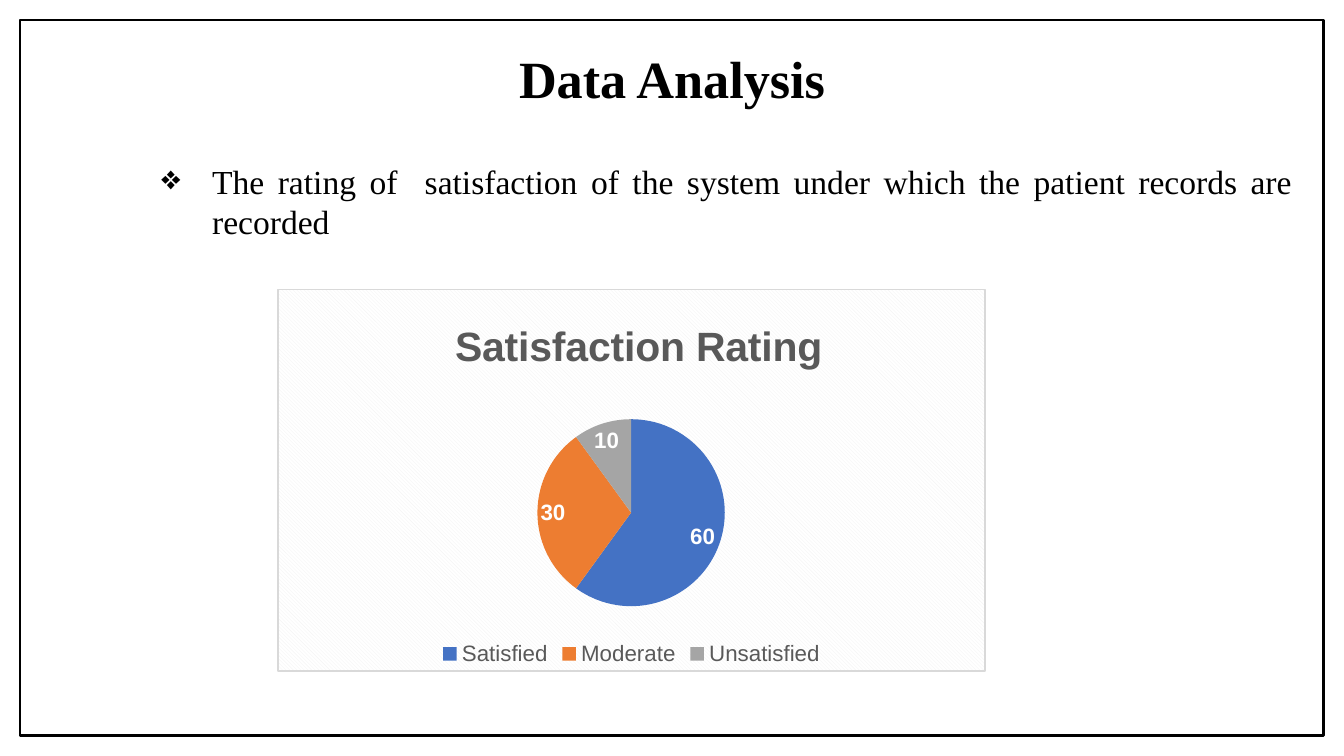
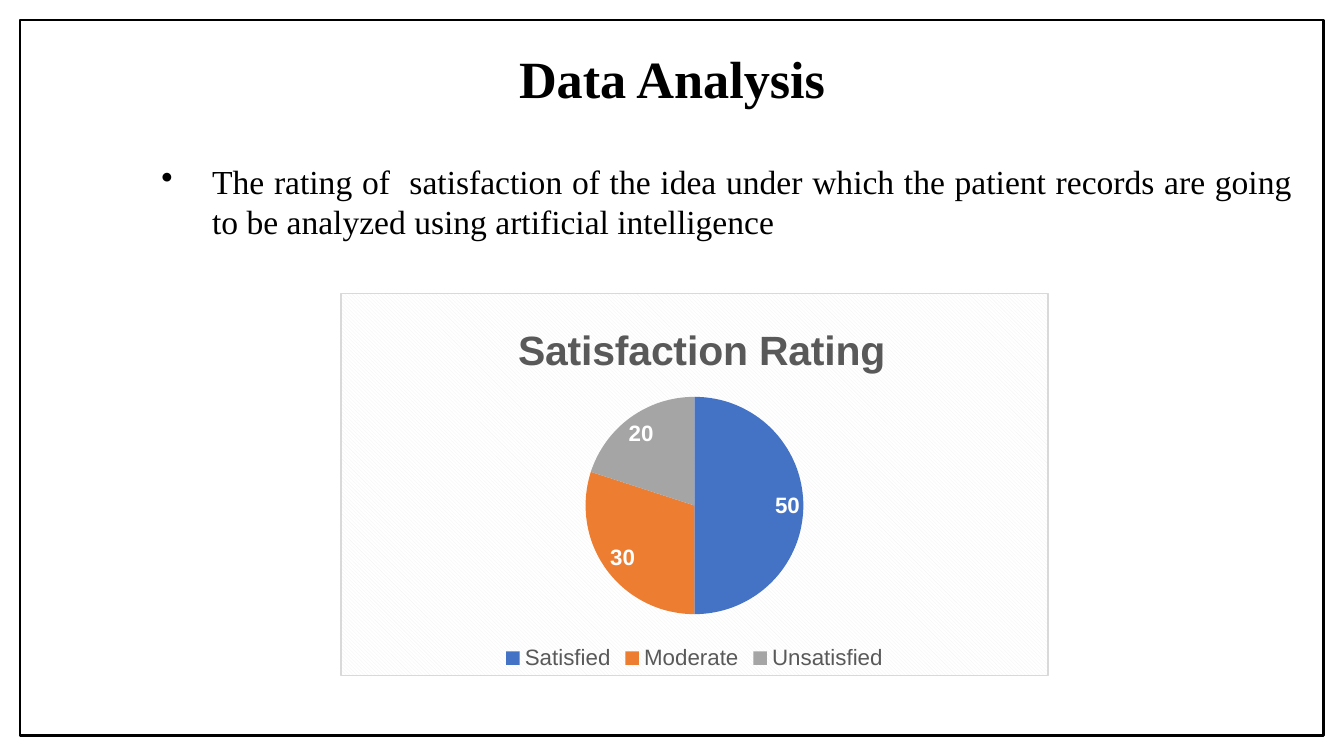
from lxml.etree import SubElement, fromstring
from pptx import Presentation
from pptx.chart.data import CategoryChartData
from pptx.dml.color import RGBColor
from pptx.enum.chart import XL_CHART_TYPE, XL_LABEL_POSITION, XL_LEGEND_POSITION
from pptx.enum.shapes import MSO_SHAPE
from pptx.enum.text import MSO_ANCHOR, MSO_AUTO_SIZE, PP_ALIGN
from pptx.oxml.ns import nsdecls, qn
from pptx.util import Cm, Pt

TITLE = "Data Analysis"
CHART_TITLE = "Satisfaction Rating"
RATINGS = ["Satisfied", "Moderate", "Unsatisfied"]
SLIDES = [
    {
        "bullet": "❖",
        "finding": "The rating of  satisfaction of the system under which "
                   "the patient records are recorded",
        "shares": [60, 30, 10],
        "chart_at": (5.24, 5.46),
        "pie": (0.34, 0.49),  # top and height, as parts of the chart height
    },
    {
        "bullet": "•",
        "finding": "The rating of  satisfaction of the idea under which the patient "
                   "records are going to be analyzed using artificial intelligence",
        "shares": [50, 30, 20],
        "chart_at": (6.43, 5.54),
        "pie": (0.27, 0.57),
    },
]

SERIF, SANS = "Times New Roman", "Arial"
BLACK, WHITE, GREY = "000000", "FFFFFF", "595959"
PATTERN, BORDER = "F2F2F2", "D9D9D9"
SLICES = ["4472C4", "ED7D31", "A5A5A5"]
WIDTH, HEIGHT = 25.4, 14.29
MARGIN = 0.38
CHART_W, CHART_H = 13.39, 7.24


def rgb(color):
    return RGBColor.from_string(color)


def set_font(font, name, size, color, bold=False):
    font.name, font.size, font.bold = name, Pt(size), bold
    font.color.rgb = rgb(color)


def place(shape, left, top, width, height):
    shape.left, shape.top = Cm(left), Cm(top)
    shape.width, shape.height = Cm(width), Cm(height)


def add_frame(slide):
    frame = slide.shapes.add_shape(
        MSO_SHAPE.RECTANGLE, Cm(MARGIN), Cm(MARGIN),
        Cm(WIDTH - 2 * MARGIN), Cm(HEIGHT - 2 * MARGIN))
    frame.shadow.inherit = False
    frame.fill.background()
    frame.line.color.rgb = rgb(BLACK)
    frame.line.width = Pt(1.5)


def set_title(slide):
    title = slide.shapes.title
    place(title, 0.71, 0.76, WIDTH - 2 * 0.71, 1.55)
    title.text = TITLE
    title.text_frame.auto_size = MSO_AUTO_SIZE.NONE
    title.text_frame.vertical_anchor = MSO_ANCHOR.MIDDLE
    paragraph = title.text_frame.paragraphs[0]
    paragraph.alignment = PP_ALIGN.CENTER
    paragraph.line_spacing = 0.9
    set_font(paragraph.font, SERIF, 28, BLACK, bold=True)


def add_finding(slide, finding, bullet):
    body = slide.shapes.add_textbox(Cm(1.22), Cm(2.92), Cm(23.47), Cm(10.16))
    body.text_frame.word_wrap = True
    paragraph = body.text_frame.paragraphs[0]
    paragraph.text = finding
    paragraph.alignment = PP_ALIGN.JUSTIFY
    paragraph.space_before = Pt(3.8)
    set_font(paragraph.font, SERIF, 18, BLACK)
    properties = paragraph._p.get_or_add_pPr()
    properties.set("marL", str(Cm(2.54)))
    properties.set("indent", str(Cm(-0.96)))
    mark = SubElement(properties, qn("a:buChar"))
    mark.set("char", bullet)
    properties.insert_element_before(mark, "a:tabLst", "a:defRPr")


def set_layout(parent, index, **parts):
    """Give a chart part a manual layout, in parts of the chart size."""
    for old in parent.findall(qn("c:layout")):
        parent.remove(old)
    values = {"xMode": "edge", "yMode": "edge", **parts}
    children = "".join(f'<c:{key} val="{value}"/>' for key, value in values.items())
    parent.insert(index, fromstring(
        f'<c:layout {nsdecls("c")}><c:manualLayout>{children}'
        '</c:manualLayout></c:layout>'))


def set_background(chart):
    chart._chartSpace.find(qn("c:chart")).addnext(fromstring(
        f'<c:spPr {nsdecls("c", "a")}><a:pattFill prst="dkDnDiag">'
        f'<a:fgClr><a:srgbClr val="{PATTERN}"/></a:fgClr>'
        f'<a:bgClr><a:srgbClr val="{WHITE}"/></a:bgClr></a:pattFill>'
        f'<a:ln w="{Pt(0.75)}"><a:solidFill><a:srgbClr val="{BORDER}"/>'
        '</a:solidFill></a:ln></c:spPr>'))


def add_pie(slide, shares, chart_at, pie):
    data = CategoryChartData()
    data.categories = RATINGS
    data.add_series("Series 1", shares)
    left, top = chart_at
    chart = slide.shapes.add_chart(
        XL_CHART_TYPE.PIE, Cm(left), Cm(top), Cm(CHART_W), Cm(CHART_H), data).chart
    set_font(chart.font, SANS, 10, BLACK)
    set_background(chart)

    chart.has_title = True
    heading = chart.chart_title.text_frame
    heading.text = CHART_TITLE
    set_font(heading.paragraphs[0].font, SANS, 22, GREY, bold=True)
    set_layout(chart._chartSpace.find(".//" + qn("c:title")), 1, x=0.24, y=0.06)

    chart.has_legend = True
    chart.legend.position = XL_LEGEND_POSITION.BOTTOM
    chart.legend.include_in_layout = False
    set_font(chart.legend.font, SANS, 12, GREY)

    plot = chart.plots[0]
    plot.vary_by_categories = True
    for index, color in enumerate(SLICES):
        fill = plot.series[0].points[index].format.fill
        fill.solid()
        fill.fore_color.rgb = rgb(color)
    plot.has_data_labels = True
    labels = plot.data_labels
    labels.show_value = True
    labels.show_percentage = False
    labels.position = XL_LABEL_POSITION.BEST_FIT
    set_font(labels.font, SANS, 12, WHITE, bold=True)

    pie_top, pie_height = pie
    pie_width = round(pie_height * CHART_H / CHART_W, 3)
    set_layout(chart._chartSpace.find(".//" + qn("c:plotArea")), 0,
               layoutTarget="inner", x=round((1 - pie_width) / 2, 3), y=pie_top,
               w=pie_width, h=pie_height)


def main():
    deck = Presentation()
    deck.slide_width, deck.slide_height = Cm(WIDTH), Cm(HEIGHT)
    for content in SLIDES:
        slide = deck.slides.add_slide(deck.slide_layouts[5])
        add_frame(slide)
        set_title(slide)
        add_finding(slide, content["finding"], content["bullet"])
        add_pie(slide, content["shares"], content["chart_at"], content["pie"])
    deck.save("out.pptx")


if __name__ == "__main__":
    main()
